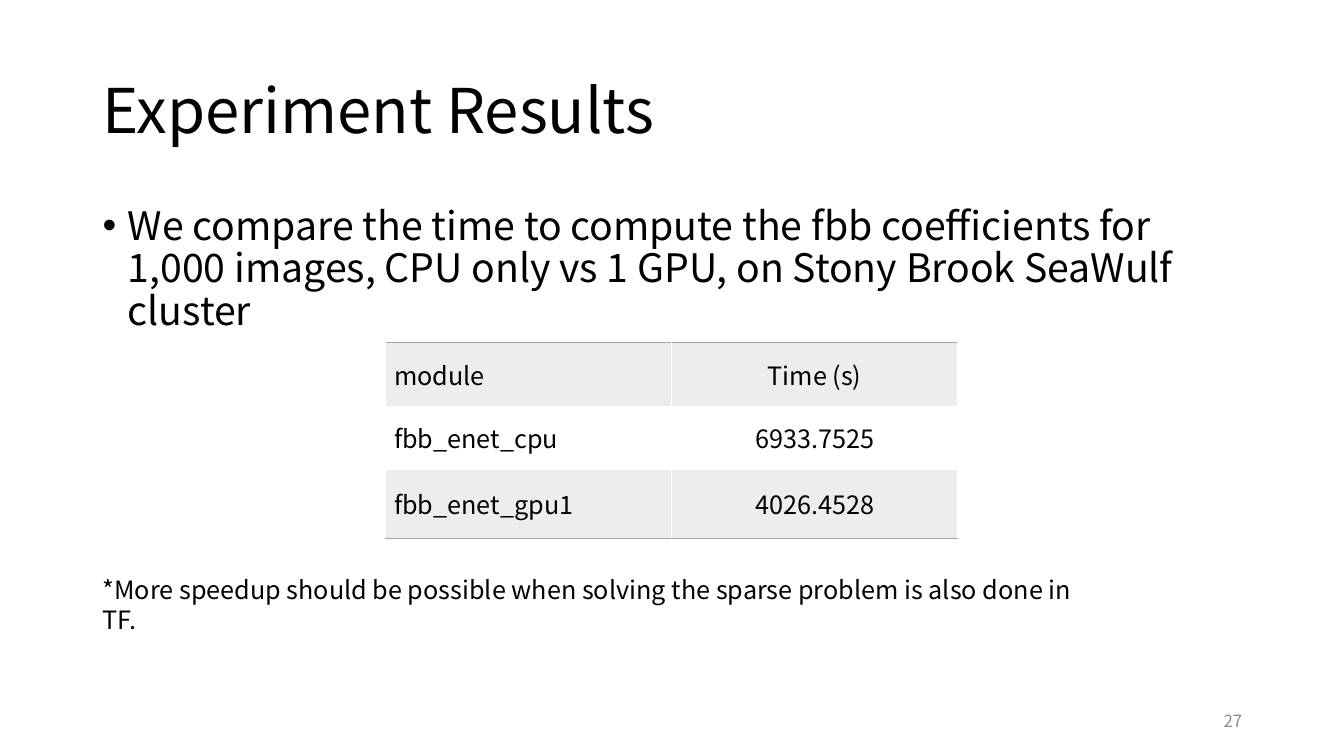
from lxml import etree
from pptx import Presentation
from pptx.dml.color import RGBColor
from pptx.enum.text import MSO_ANCHOR, PP_ALIGN
from pptx.oxml import parse_xml
from pptx.oxml.ns import nsdecls, qn
from pptx.util import Inches, Pt

LEFT, CENTER, RIGHT = PP_ALIGN.LEFT, PP_ALIGN.CENTER, PP_ALIGN.RIGHT
TOP, MIDDLE = MSO_ANCHOR.TOP, MSO_ANCHOR.MIDDLE
FONT = "Noto Sans CJK SC"
BLACK = RGBColor(0x00, 0x00, 0x00)
WHITE = RGBColor(0xFF, 0xFF, 0xFF)
GRAY = RGBColor(0x8C, 0x8C, 0x8C)
BAND = RGBColor(0xED, 0xED, 0xED)
RULE = RGBColor(0xA5, 0xA5, 0xA5)


def write(text_frame, text, size, color=BLACK, alignment=LEFT):
    text_frame.text = text
    paragraph = text_frame.paragraphs[0]
    paragraph.alignment = alignment
    font = paragraph.runs[0].font
    font.name = FONT
    font.size = Pt(size)
    font.color.rgb = color
    return paragraph


def add_text(left, top, width, height, text, size, anchor=TOP, **style):
    box = slide.shapes.add_textbox(Inches(left), Inches(top), Inches(width), Inches(height))
    box.text_frame.word_wrap = True
    box.text_frame.vertical_anchor = anchor
    return write(box.text_frame, text, size, **style)


presentation = Presentation()
presentation.slide_width = Inches(13.33)
presentation.slide_height = Inches(7.5)
slide = presentation.slides.add_slide(presentation.slide_layouts[6])

title = add_text(0.92, 0.4, 11.5, 1.45, "Experiment Results", 44, MIDDLE)
title.line_spacing = 0.9

body = add_text(
    0.92, 2, 11.5, 4.76,
    "We compare the time to compute the fbb coefficients for 1,000 images, "
    "CPU only vs 1 GPU, on Stony Brook SeaWulf cluster", 28)
body.line_spacing = 0.9
properties = body._p.get_or_add_pPr()
properties.set("marL", str(Inches(0.25)))
properties.set("indent", str(Inches(-0.25)))
etree.SubElement(properties, qn("a:buFont"), typeface="Arial")
etree.SubElement(properties, qn("a:buChar"), char="•")

rows = [
    ("module", "Time (s)"),
    ("fbb_enet_cpu", "6933.7525"),
    ("fbb_enet_gpu1", "4026.4528"),
]
row_heights = [0.63, 0.63, 0.68]
edges = {0: "lnT", len(rows) - 1: "lnB"}
table = slide.shapes.add_table(
    len(rows), 2, Inches(3.82), Inches(3.4), Inches(5.68), Inches(sum(row_heights))).table
table.first_row = False
table.horz_banding = False
for row_index, values in enumerate(rows):
    table.rows[row_index].height = Inches(row_heights[row_index])
    for column_index, value in enumerate(values):
        cell = table.cell(row_index, column_index)
        cell.vertical_anchor = MIDDLE
        cell.margin_left = cell.margin_right = Inches(0.09)
        cell.margin_top = cell.margin_bottom = Inches(0.04)
        cell.fill.solid()
        cell.fill.fore_color.rgb = WHITE if row_index == 1 else BAND
        write(cell.text_frame, value, 18, alignment=CENTER if column_index else LEFT)
        if row_index in edges:
            edge = edges[row_index]
            cell._tc.get_or_add_tcPr().insert(0, parse_xml(
                f'<a:{edge} {nsdecls("a")} w="{Pt(1)}"><a:solidFill>'
                f'<a:srgbClr val="{RULE}"/></a:solidFill></a:{edge}>'))

add_text(9.42, 6.95, 3, 0.4, "27", 12, MIDDLE, color=GRAY, alignment=RIGHT)
add_text(
    0.92, 5.65, 10.18, 0.4,
    "*More speedup should be possible when solving the sparse problem is also done in TF.", 18)

presentation.save("out.pptx")
